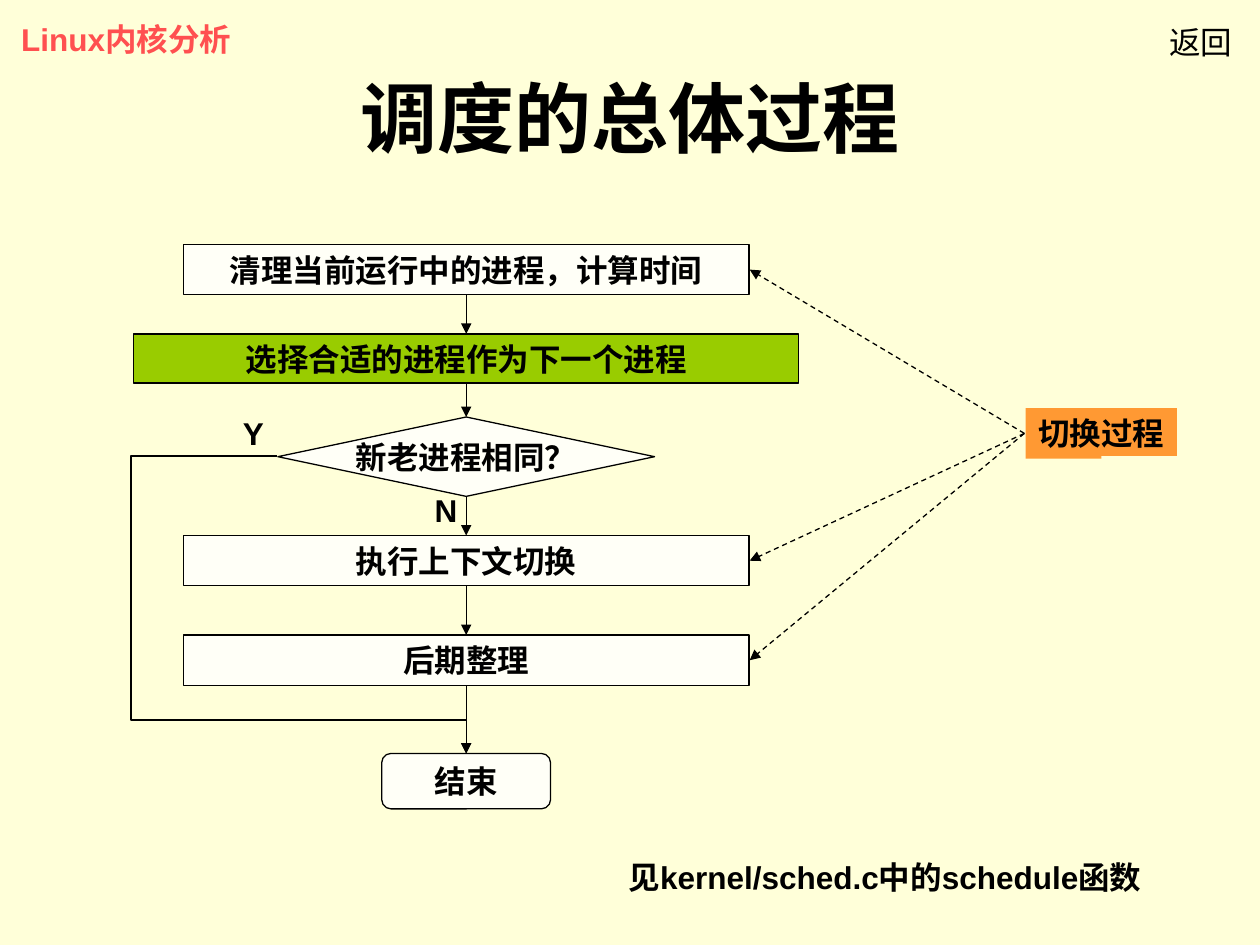
import pptx
import pptx.dml.color
import pptx.enum.dml
import pptx.enum.shapes
import pptx.enum.text
import pptx.oxml
import pptx.oxml.ns
import pptx.util
from lxml import etree
from dataclasses import dataclass

Inches = pptx.util.Inches
Pt = pptx.util.Pt
RGB = pptx.dml.color.RGBColor.from_string
SHAPE = pptx.enum.shapes.MSO_SHAPE
CONN = pptx.enum.shapes.MSO_CONNECTOR
ALIGN = pptx.enum.text.PP_ALIGN
ANCHOR = pptx.enum.text.MSO_ANCHOR
FIT = pptx.enum.text.MSO_AUTO_SIZE
qn = pptx.oxml.ns.qn


@dataclass(frozen=True)
class Theme:
    bg: str = "FFFFD9"
    ink: str = "000000"
    header: str = "FF5050"
    box: str = "FFFFF7"
    choose: str = "99CC00"
    switch: str = "FF9933"
    font: str = "Arial"
    link_font: str = "DejaVu Sans"
    title: int = 44
    body: int = 18
    line: float = 0.75


T = Theme()


def write(sp, text, color=T.ink, font=T.font, size=T.body, bold=True, centered=False):
    tf = sp.text_frame
    tf.word_wrap = False
    tf.auto_size = FIT.NONE if centered else FIT.SHAPE_TO_FIT_TEXT
    tf.vertical_anchor = ANCHOR.MIDDLE if centered else ANCHOR.TOP
    p = tf.paragraphs[0]
    p.text = text
    p.alignment = ALIGN.CENTER if centered else ALIGN.LEFT
    p.font.name = font
    p.font.size = Pt(size)
    p.font.bold = bold
    p.font.color.rgb = RGB(color)


def arrow(x1, y1, x2, y2, kind=CONN.STRAIGHT, dashed=False):
    c = s.shapes.add_connector(kind, Inches(x1), Inches(y1), Inches(x2), Inches(y2))
    c.line.color.rgb = RGB(T.ink)
    c.line.width = Pt(T.line)
    if dashed:
        c.line.dash_style = pptx.enum.dml.MSO_LINE.DASH
    etree.SubElement(c.line._get_or_add_ln(), qn("a:tailEnd"), type="triangle")
    etree.SubElement(c._element.spPr, qn("a:effectLst"))
    return c


prs = pptx.Presentation()
prs.slide_width = Inches(10)
prs.slide_height = Inches(7.5)
s = prs.slides.add_slide(prs.slide_layouts[5])
s.background.fill.solid()
s.background.fill.fore_color.rgb = RGB(T.bg)

title = s.shapes.title
title.left, title.top = Inches(0.5), Inches(0.3)
title.width, title.height = Inches(9), Inches(1.25)
write(title, "调度的总体过程", size=T.title, centered=True)

axis = 3.7
right = 5.95
switch_x, switch_y = 8.13, 3.44

boxes = [
    (SHAPE.RECTANGLE, 1.94, 4.49, 0.4, T.box, "清理当前运行中的进程，计算时间"),
    (SHAPE.RECTANGLE, 2.65, 5.28, 0.39, T.choose, "选择合适的进程作为下一个进程"),
    (SHAPE.FLOWCHART_DECISION, 3.31, 2.99, 0.63, T.box, "新老进程相同？"),
    (SHAPE.RECTANGLE, 4.25, 4.49, 0.4, T.box, "执行上下文切换"),
    (SHAPE.RECTANGLE, 5.04, 4.49, 0.4, T.box, "后期整理"),
    (SHAPE.FLOWCHART_ALTERNATE_PROCESS, 5.98, 1.34, 0.44, T.box, "结束"),
]
for kind, y, w, h, fill, text in boxes:
    sp = s.shapes.add_shape(kind, Inches(axis - w / 2), Inches(y), Inches(w), Inches(h))
    sp.shadow.inherit = False
    sp.fill.solid()
    sp.fill.fore_color.rgb = RGB(fill)
    sp.line.color.rgb = RGB(T.ink)
    sp.line.width = Pt(T.line)
    write(sp, text, centered=True)

for upper, lower in zip(boxes, boxes[1:]):
    arrow(axis, upper[1] + upper[3], axis, lower[1])

loop = arrow(2.2, 3.62, axis, 5.98, CONN.ELBOW)
geom = loop._element.spPr.find(qn("a:prstGeom"))
geom.set("prst", "bentConnector4")
guides = geom.find(qn("a:avLst"))
if guides is None:
    guides = etree.SubElement(geom, qn("a:avLst"))
for name, value in (("adj1", -77300), ("adj2", 88800)):
    etree.SubElement(guides, qn("a:gd"), name=name, fmla=f"val {value}")

for i in (0, 3, 4):
    arrow(switch_x, switch_y, right, boxes[i][1] + boxes[i][3] / 2, dashed=True)

for x, y, w, h, fill, text in [
    (8.14, 3.24, 1.2, 0.4, T.switch, "切换过程"),
    (8.74, 3.62, 1.22, 3.83, T.bg, ""),
]:
    sp = s.shapes.add_shape(SHAPE.RECTANGLE, Inches(x), Inches(y), Inches(w), Inches(h))
    sp.shadow.inherit = False
    sp.fill.solid()
    sp.fill.fore_color.rgb = RGB(fill)
    sp.line.fill.background()
    if text:
        write(sp, text)

for x, y, w, text, color, font, bold in [
    (0.07, 0.11, 1.92, "Linux内核分析", T.header, T.font, True),
    (9.18, 0.13, 0.7, "返回", T.ink, T.link_font, False),
    (1.83, 3.24, 0.36, "Y", T.ink, T.font, True),
    (3.35, 3.85, 0.38, "N", T.ink, T.font, True),
    (4.89, 6.76, 4.51, "见kernel/sched.c中的schedule函数", T.ink, T.font, True),
]:
    sp = s.shapes.add_textbox(Inches(x), Inches(y), Inches(w), Inches(0.4))
    write(sp, text, color, font, bold=bold)

prs.save("out.pptx")
